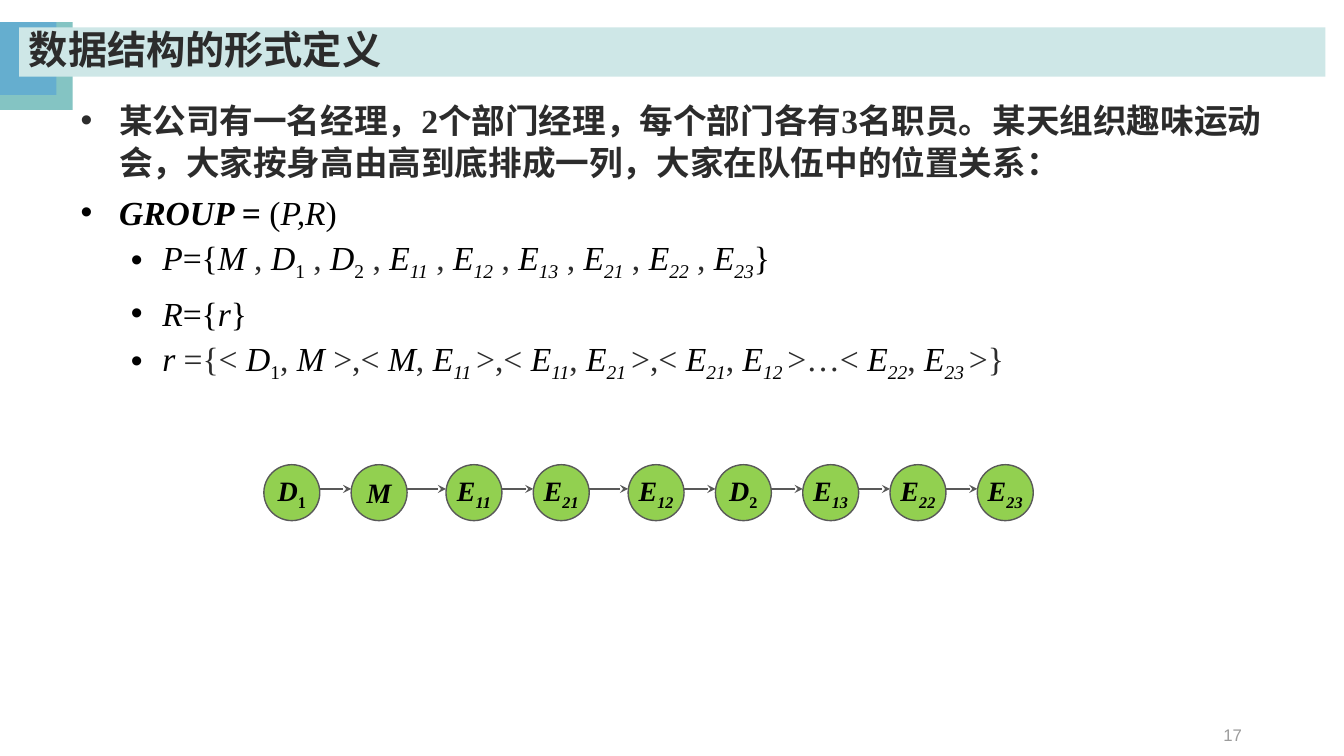
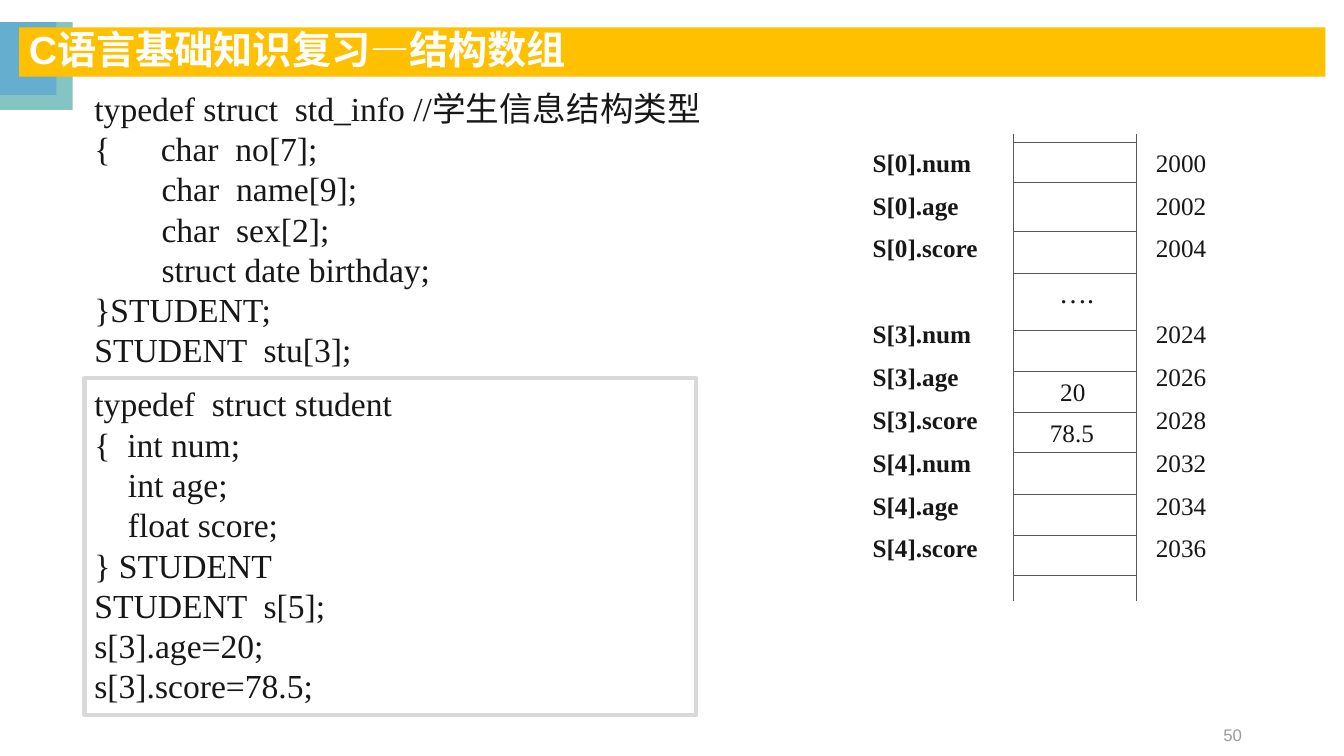
"""Build two lecture slides: a sequence relation and an array of structures."""
from lxml import etree
from pptx import Presentation
from pptx.dml.color import RGBColor
from pptx.enum.shapes import MSO_CONNECTOR, MSO_SHAPE
from pptx.enum.text import MSO_ANCHOR, PP_ALIGN
from pptx.oxml.ns import qn
from pptx.util import Cm, Pt

RECT, OVAL = MSO_SHAPE.RECTANGLE, MSO_SHAPE.OVAL
STRAIGHT = MSO_CONNECTOR.STRAIGHT
TOP, MIDDLE = MSO_ANCHOR.TOP, MSO_ANCHOR.MIDDLE
LEFT, CENTER, RIGHT = PP_ALIGN.LEFT, PP_ALIGN.CENTER, PP_ALIGN.RIGHT

BLACK = RGBColor(0x00, 0x00, 0x00)
WHITE = RGBColor(0xFF, 0xFF, 0xFF)
DARK = RGBColor(0x2C, 0x2C, 0x2C)
INK = RGBColor(0x18, 0x17, 0x17)
GRAY = RGBColor(0x59, 0x59, 0x59)
PAGE_GRAY = RGBColor(0x9B, 0x9B, 0x9B)
FRAME = RGBColor(0xD9, 0xD9, 0xD9)
TEAL = RGBColor(0x84, 0xC4, 0xC3)
BLUE = RGBColor(0x65, 0xAE, 0xCF)
PALE_TEAL = RGBColor(0xCE, 0xE7, 0xE7)
AMBER = RGBColor(0xFF, 0xC0, 0x00)
GREEN = RGBColor(0x92, 0xD0, 0x50)

SERIF, SANS, CJK = "Times New Roman", "Arial", "Noto Sans CJK SC"

PEOPLE = ["M", "D1", "D2", "E11", "E12", "E13", "E21", "E22", "E23"]
QUEUE = ["D1", "M", "E11", "E21", "E12", "D2", "E13", "E22", "E23"]
WIDE_GAP_AFTER = {"M", "E21"}
PAIRS = [("D1", "M", ">,"), ("M", "E11", ">,"), ("E11", "E21", ">,"),
         ("E21", "E12", ">…"), ("E22", "E23", ">}")]
QUESTION = ("某公司有一名经理，2个部门经理，每个部门各有3名职员。某天组织趣味运动会，"
            "大家按身高由高到底排成一列，大家在队伍中的位置关系：")
BULLET_INDENTS = [(0.97, 0.97), (2.06, 0.79)]

STUDENT_INFO = [
    "typedef struct  std_info //学生信息结构类型",
    "{      char  no[7];",
    "        char  name[9];",
    "        char  sex[2];",
    "        struct date birthday;",
    "}STUDENT;",
    "STUDENT  stu[3];",
]
STUDENT_ARRAY = [
    "typedef  struct student",
    "{  int num;",
    "    int age;",
    "    float score;",
    "} STUDENT",
    "STUDENT  s[5];",
    "s[3].age=20;",
    "s[3].score=78.5;",
]
FIELDS = [f"S[{i}].{field}" for i in (0, 3, 4) for field in ("num", "age", "score")]
ADDRESSES = ["2000", "2002", "2004", "2024", "2026", "2028", "2032", "2034", "2036"]
SKIP_BEFORE = 3
ROW_LINES = [3.58, 4.6, 5.84, 6.88, 8.33, 9.35, 10.39, 11.4, 12.45, 13.49, 14.5]
CELL_LEFT, CELL_RIGHT, CELL_TOP, CELL_BOTTOM = 25.55, 28.63, 3.38, 15.14
CELL_VALUES = [("….", 26.44, 6.83, 20), ("20", 26.47, 9.37, 18), ("78.5", 26.21, 10.39, 18)]


def symbol(name, tail=""):
    """Return the runs of a letter with its subscript index."""
    letter, index = name[0], name[1:]
    if not index:
        return [(letter + tail, "ik")]
    return [(letter, "ik"), (index + tail, "sik" if letter == "E" else "sk")]


def body_paragraphs():
    """Return (level, runs) for each bullet of the formal definition."""
    people = [("P", "ik"), ("={", "k")]
    for i, name in enumerate(PEOPLE):
        people += ([(" , ", "")] if i else []) + symbol(name)
    people.append(("}", "k"))
    relation = [("r ", "ik"), ("={", "")]
    for first, second, end in PAIRS:
        relation += [("< ", ""), *symbol(first), (", ", ""), *symbol(second, " "), (end, "")]
    group = [("GROUP ", "bik"), ("= ", "bk"), ("(", "k"), ("P,R", "ik"), (")", "k")]
    relations = [("R", "ik"), ("={", "k"), ("r", "ik"), ("}", "k")]
    return [(0, [(QUESTION, "b")]), (0, group), (1, people), (1, relations), (1, relation)]


def write(sp, paragraphs, size=24, font=SERIF, color=INK, bold=False, align=LEFT,
          anchor=TOP, wrap=True, spacing=1.0, before=(), levels=()):
    """Fill a shape; runs are (text, style) with b bold, i italic, s subscript, k black."""
    tf = sp.text_frame
    tf.word_wrap, tf.vertical_anchor = wrap, anchor
    for i, runs in enumerate(paragraphs):
        p = tf.add_paragraph() if i else tf.paragraphs[0]
        p.alignment, p.line_spacing = align, spacing
        if before and i:
            p.space_before = Pt(before[i])
        if levels:
            add_bullet(p, levels[i])
        for text, style in [(runs, "")] if isinstance(runs, str) else runs:
            r = p.add_run()
            r.text = text
            r.font.size, r.font.name = Pt(size), font
            r.font.bold, r.font.italic = bold or "b" in style, "i" in style
            r.font.color.rgb = BLACK if "k" in style else color
            props = r.font._element
            etree.SubElement(props, qn("a:ea"), typeface=CJK)
            if "s" in style:
                props.set("baseline", "-25000")


def add_bullet(p, level):
    """Give a paragraph a round bullet and a hanging indent."""
    margin, hanging = BULLET_INDENTS[level]
    props = p._p.get_or_add_pPr()
    props.set("marL", str(Cm(margin)))
    props.set("indent", str(-Cm(hanging)))
    p.level = level
    etree.SubElement(props, qn("a:buFont"), typeface=SANS)
    etree.SubElement(props, qn("a:buChar"), char="•")


def add_box(s, kind, left, top, width, height, fill, line=None, weight=1):
    """Add a flat filled shape, lengths in centimetres."""
    sp = s.shapes.add_shape(kind, Cm(left), Cm(top), Cm(width), Cm(height))
    sp.shadow.inherit = False
    sp.fill.solid()
    sp.fill.fore_color.rgb = fill
    if line is None:
        sp.line.fill.background()
    else:
        sp.line.color.rgb, sp.line.width = line, Pt(weight)
    return sp


def add_text(s, left, top, width, height, paragraphs, **style):
    """Add a text box, lengths in centimetres."""
    sp = s.shapes.add_textbox(Cm(left), Cm(top), Cm(width), Cm(height))
    write(sp, paragraphs, **style)


def add_line(s, x1, y1, x2, y2, weight, arrow=False):
    """Add a straight gray line, optionally with an arrowhead at its end."""
    line = s.shapes.add_connector(STRAIGHT, Cm(x1), Cm(y1), Cm(x2), Cm(y2))
    line.line.color.rgb, line.line.width = GRAY, Pt(weight)
    if arrow:
        etree.SubElement(line.line._get_or_add_ln(), qn("a:tailEnd"), type="stealth")
    etree.SubElement(line._element.spPr, qn("a:effectLst"))


def new_slide(prs, title, page, band, color, font):
    """Add a slide with the corner squares, title band and page number."""
    s = prs.slides.add_slide(prs.slide_layouts[6])
    add_box(s, RECT, 0, 0.56, 1.83, 2.21, TEAL)
    add_box(s, RECT, 0, 0.56, 1.42, 1.83, BLUE)
    sp = add_box(s, RECT, 0.48, 0.69, 32.92, 1.24, band)
    write(sp, [title], size=28, font=font, color=color, bold=True, anchor=MIDDLE, spacing=0.9)
    add_text(s, 23.93, 18.01, 7.62, 1.02, [page], size=12, font=SANS, color=PAGE_GRAY,
             align=RIGHT, anchor=MIDDLE)
    return s


def build_sequence(prs):
    """Build the formal definition with its chain of people."""
    s = new_slide(prs, "数据结构的形式定义", "17", PALE_TEAL, DARK, CJK)
    levels, paragraphs = zip(*body_paragraphs())
    add_text(s, 1.78, 2.34, 30.96, 6.3, paragraphs, color=DARK, spacing=Pt(30),
             before=[6] * len(levels), levels=levels)
    left, diameter, pitch, extra = 6.65, 1.41, 2.2, 0.19
    for i, name in enumerate(QUEUE):
        sp = add_box(s, OVAL, left, 11.71, diameter, diameter, GREEN, GRAY)
        write(sp, [symbol(name)], size=20, bold=True, align=CENTER, anchor=MIDDLE, wrap=False)
        following = left + pitch + (extra if name in WIDE_GAP_AFTER else 0)
        if i < len(QUEUE) - 1:
            add_line(s, left + diameter, 12.32, following, 12.32, 1, arrow=True)
        left = following


def build_array(prs):
    """Build the code listings beside the memory layout."""
    s = new_slide(prs, "C语言基础知识复习—结构数组", "50", AMBER, WHITE, SANS)
    add_text(s, 2.13, 2.08, 21.79, 7.44, STUDENT_INFO, spacing=Pt(28.8))
    sp = add_box(s, RECT, 2.13, 9.53, 15.42, 8.48, WHITE, FRAME, 3)
    write(sp, STUDENT_ARRAY, spacing=Pt(28.8))

    gaps = [39.6 if i == SKIP_BEFORE else 9 for i in range(len(FIELDS))]
    for left, width, column, bold in [(21.74, 4.04, FIELDS, True),
                                      (28.88, 2.13, ADDRESSES, False)]:
        add_text(s, left, 3.58, width, 11.35, column, size=18, bold=bold,
                 spacing=Pt(21.6), before=gaps)
    for x in (CELL_LEFT, CELL_RIGHT):
        add_line(s, x, CELL_TOP, x, CELL_BOTTOM, 0.75)
    for y in ROW_LINES:
        add_line(s, CELL_LEFT, y, CELL_RIGHT, y, 0.75)
    for value, left, top, size in CELL_VALUES:
        add_text(s, left, top, 2.2, 1.02, [value], size=size)


def main():
    """Create and save the presentation."""
    prs = Presentation()
    prs.slide_width, prs.slide_height = Cm(33.87), Cm(19.05)
    build_sequence(prs)
    build_array(prs)
    prs.save("out.pptx")


if __name__ == "__main__":
    main()
